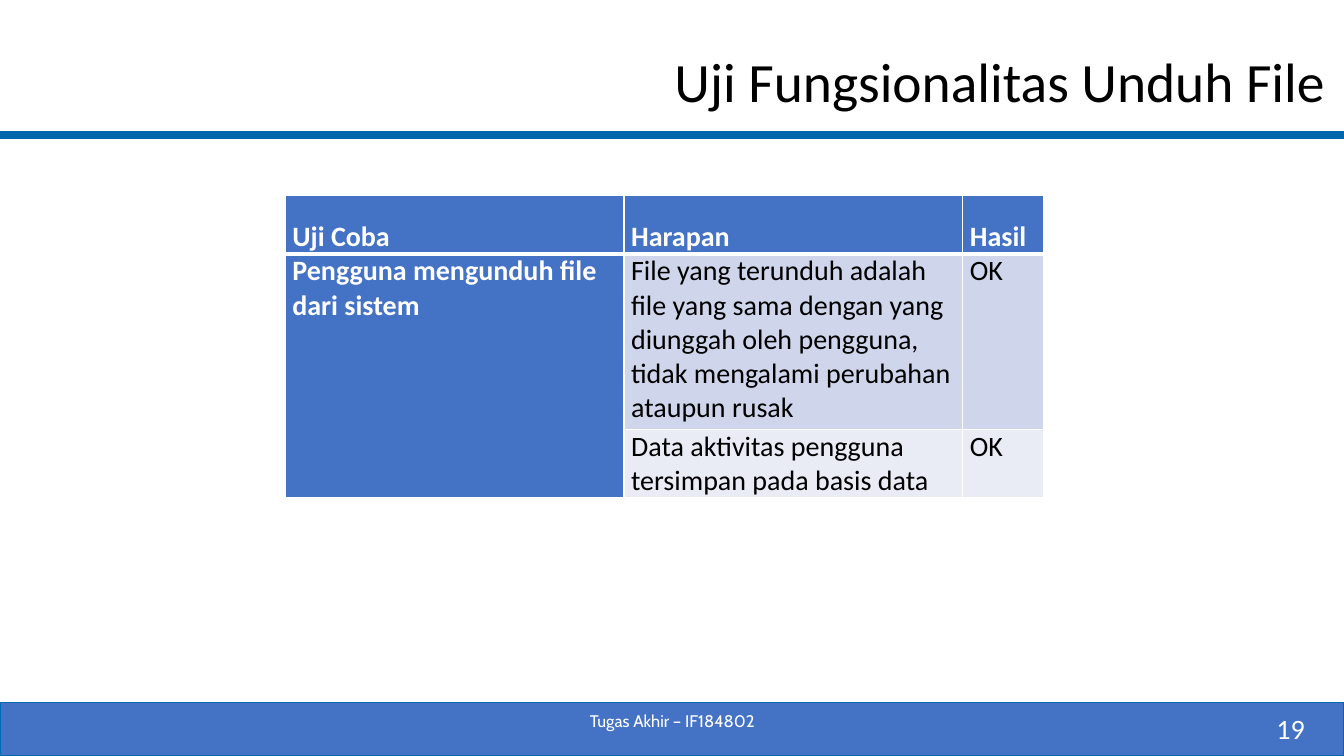
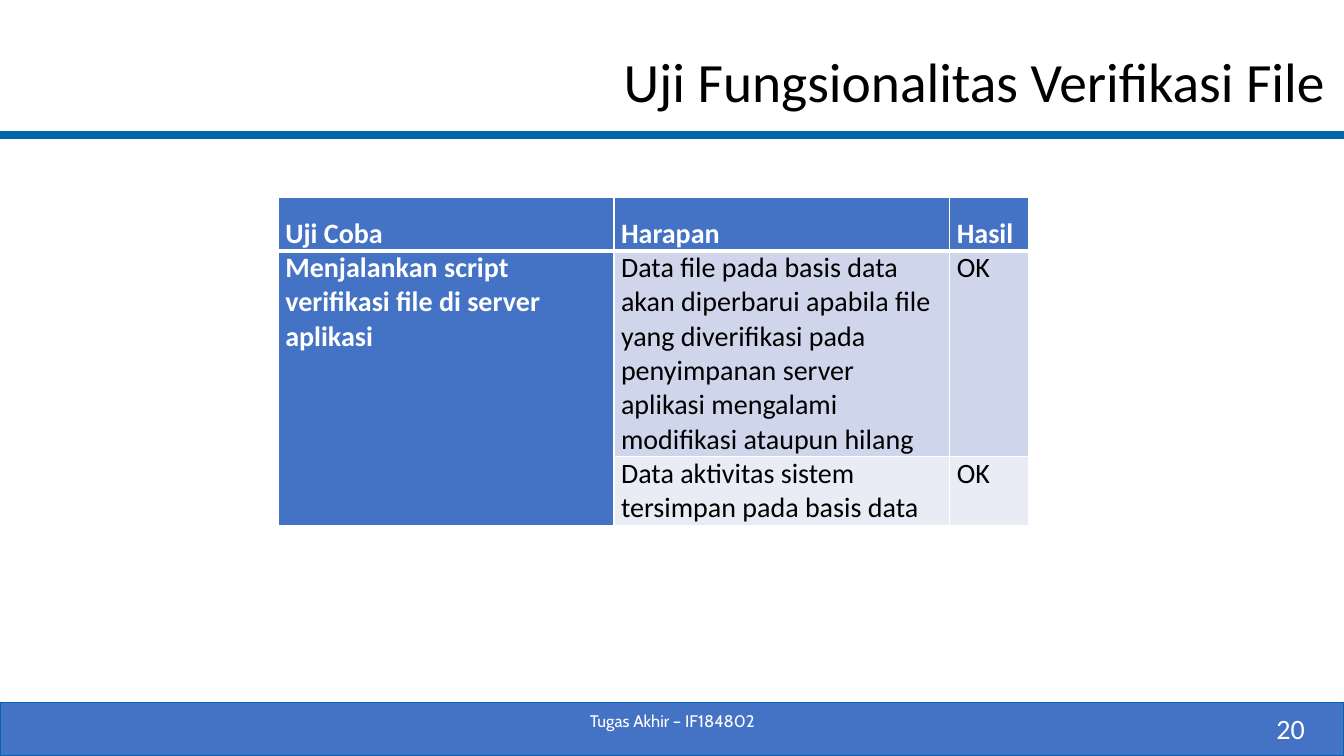
from pptx import Presentation
from pptx.dml.color import RGBColor
from pptx.enum.shapes import MSO_CONNECTOR, MSO_SHAPE
from pptx.enum.text import MSO_ANCHOR, PP_ALIGN
from pptx.oxml.ns import qn
from pptx.util import Inches, Pt
from lxml import etree

TOP, MIDDLE, BOTTOM = MSO_ANCHOR.TOP, MSO_ANCHOR.MIDDLE, MSO_ANCHOR.BOTTOM
LEFT, CENTER, RIGHT = PP_ALIGN.LEFT, PP_ALIGN.CENTER, PP_ALIGN.RIGHT
STRAIGHT, RECT = MSO_CONNECTOR.STRAIGHT, MSO_SHAPE.RECTANGLE

BLUE, RULE, WHITE, BLACK = "4472C4", "0067AC", "FFFFFF", "000000"
BANDS = ["CFD5EA", "E9EBF5"]
WIDTH, HEIGHT = 13.33, 7.5
FOOTER = "Tugas Akhir – IF184802"
HEADER = ["Uji Coba", "Harapan", "Hasil"]

SLIDES = [
    {
        "number": 19,
        "title": "Uji Fungsionalitas Unduh File",
        "origin": (2.83, 1.94),
        "cols": [3.36, 3.36, 0.8],
        "rows": [0.58, 1.74, 0.68],
        "test": "Pengguna mengunduh file dari sistem",
        "results": [
            ("File yang terunduh adalah file yang sama dengan yang diunggah "
             "oleh pengguna, tidak mengalami perubahan ataupun rusak", "OK"),
            ("Data aktivitas pengguna tersimpan pada basis data", "OK"),
        ],
    },
    {
        "number": 20,
        "title": "Uji Fungsionalitas Verifikasi File",
        "origin": (2.76, 1.96),
        "cols": [3.33, 3.33, 0.78],
        "rows": [0.53, 2.04, 0.68],
        "test": "Menjalankan script verifikasi file di server aplikasi",
        "results": [
            ("Data file pada basis data akan diperbarui apabila file yang "
             "diverifikasi pada penyimpanan server aplikasi mengalami "
             "modifikasi ataupun hilang", "OK"),
            ("Data aktivitas sistem tersimpan pada basis data", "OK"),
        ],
    },
]


def rgb(color):
    return RGBColor.from_string(color)


def write(tf, text, size, color, align=LEFT, font="Calibri", bold=False):
    p = tf.paragraphs[0]
    p.text = text
    p.alignment = align
    p.font.size, p.font.name, p.font.bold = Pt(size), font, bold
    p.font.color.rgb = rgb(color)
    return p


def add_text(s, box, text, size, color, align, font="Calibri"):
    tf = s.shapes.add_textbox(*map(Inches, box)).text_frame
    tf.word_wrap = True
    tf.vertical_anchor = MIDDLE
    return write(tf, text, size, color, align, font)


def add_frame(s, title, number):
    rule = s.shapes.add_connector(STRAIGHT, 0, Inches(1.34), Inches(WIDTH), Inches(1.34))
    rule.line.color.rgb = rgb(RULE)
    rule.line.width = Pt(6)
    etree.SubElement(rule._element.spPr, qn("a:effectLst"))

    p = add_text(s, (1.74, 0.21, 11.5, 0.84), title, 39.6, BLACK, RIGHT)
    p.line_spacing = 1.5

    band = s.shapes.add_shape(RECT, 0, Inches(6.97), Inches(WIDTH), Inches(0.53))
    band.shadow.inherit = False
    band.fill.solid()
    band.fill.fore_color.rgb = rgb(BLUE)
    band.line.color.rgb = rgb(RULE)
    band.line.width = Pt(1)

    add_text(s, (10.04, 7.03, 3, 0.4), str(number), 20, WHITE, RIGHT)
    add_text(s, (4.42, 6.95, 4.5, 0.4), FOOTER, 12, WHITE, CENTER, "Cabin")


def set_borders(cell, widths):
    tcPr = cell._tc.get_or_add_tcPr()
    for i, (side, width) in enumerate(widths.items()):
        ln = etree.Element(qn("a:ln" + side), w=str(Pt(width)))
        fill = etree.SubElement(ln, qn("a:solidFill"))
        etree.SubElement(fill, qn("a:srgbClr"), val=WHITE)
        tcPr.insert(i, ln)


def add_results(s, origin, cols, rows, test, results):
    size = sum(cols), sum(rows)
    table = s.shapes.add_table(len(rows), len(cols), *map(Inches, origin + size)).table
    for column, width in zip(table.columns, cols):
        column.width = Inches(width)
    for row, height in zip(table.rows, rows):
        row.height = Inches(height)

    texts = [HEADER] + [[test if i == 0 else "", *result] for i, result in enumerate(results)]
    for r, line in enumerate(texts):
        for c, text in enumerate(line):
            cell = table.cell(r, c)
            heading = r == 0 or c == 0
            cell.margin_left = cell.margin_right = Inches(0.07)
            cell.margin_top = cell.margin_bottom = 0
            cell.vertical_anchor = BOTTOM if r == 0 else TOP
            cell.fill.solid()
            cell.fill.fore_color.rgb = rgb(BLUE if heading else BANDS[r - 1])
            write(cell.text_frame, text, 20, WHITE if heading else BLACK, bold=heading)
            set_borders(cell, {"L": 1, "R": 1, "T": 3 if r == 1 else 1, "B": 3 if r == 0 else 1})
    table.cell(1, 0).merge(table.cell(len(rows) - 1, 0))


prs = Presentation()
prs.slide_width, prs.slide_height = Inches(WIDTH), Inches(HEIGHT)
for content in SLIDES:
    s = prs.slides.add_slide(prs.slide_layouts[6])
    add_frame(s, content["title"], content["number"])
    add_results(s, content["origin"], content["cols"], content["rows"],
                content["test"], content["results"])
prs.save("out.pptx")
